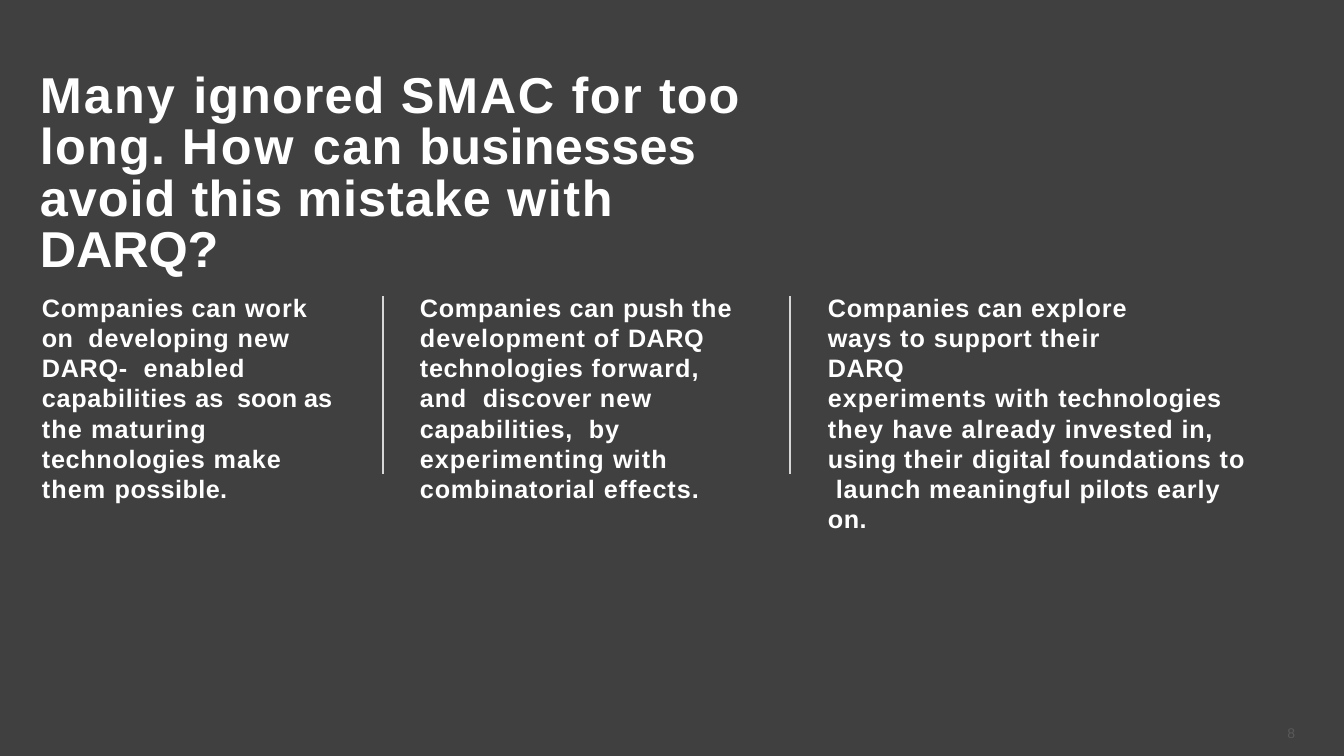
from dataclasses import dataclass

import pptx
import pptx.dml.color
import pptx.enum.shapes
import pptx.enum.text
import pptx.oxml
import pptx.oxml.ns
import pptx.util

SLIDE_WIDTH, SLIDE_HEIGHT = 1344, 756
EMU_PER_PX = 12192000 / SLIDE_WIDTH


@dataclass(frozen=True)
class Theme:
    font: str = "Arial"
    background: str = "404040"
    text: str = "FFFFFF"
    divider: str = "D7D7D7"
    page_number: str = "595959"
    title_size: int = 36
    body_size: int = 18
    page_number_size: int = 10
    divider_width: float = 0.96


@dataclass(frozen=True)
class Phrase:
    text: str
    tracking: int = 0  # hundredths of a point


@dataclass(frozen=True)
class Passage:
    phrases: tuple[Phrase, ...]
    right_indent: int = 0


@dataclass(frozen=True)
class TextBlock:
    left: int
    top: int
    width: int
    height: int
    passages: tuple[Passage, ...]
    size: int
    color: str = Theme.text
    bold: bool = True
    inset_top: int = 2
    line_spacing: float = 1.0
    anchor: pptx.enum.text.MSO_ANCHOR = pptx.enum.text.MSO_ANCHOR.TOP
    align: pptx.enum.text.PP_ALIGN = pptx.enum.text.PP_ALIGN.LEFT


THEME = Theme()
COLUMN_TOP, COLUMN_HEIGHT = 290, 184
DIVIDER_TOP, DIVIDER_BOTTOM = 296, 474
DIVIDERS = (383, 790)


def passage(*phrases: tuple[str, int], right_indent: int = 0) -> Passage:
    return Passage(tuple(Phrase(*phrase) for phrase in phrases), right_indent)


def column(left: int, width: int, *passages: Passage) -> TextBlock:
    return TextBlock(left, COLUMN_TOP, width, COLUMN_HEIGHT, passages, THEME.body_size)


HEADLINE = TextBlock(
    39, 82, 746, 166,
    (passage(
        ("Many ", 150), ("ignored ", 80), ("SMAC ", 120), ("for ", 110),
        ("too  ", 80), ("long. ", 90), ("How ", 190), ("can ", 100),
        ("businesses  ", 20), ("avoid ", 70), ("this ", 30), ("mistake ", 70),
        ("with ", 120), ("DARQ?", -10),
    ),),
    THEME.title_size, inset_top=20, line_spacing=0.85,
    anchor=pptx.enum.text.MSO_ANCHOR.MIDDLE,
)

COLUMNS = (
    column(41, 300, passage(
        ("Companies can ", 50), ("work ", 70), ("on  ", 30), ("developing ", 60),
        ("new ", 80), ("DARQ-  ", 50), ("enabled ", 70), ("capabilities ", 50),
        ("as  ", -10), ("soon ", 0), ("as ", -10), ("the ", 80),
        ("maturing  ", 70), ("technologies ", 50), ("make  ", 70),
        ("them ", 80), ("possible.", 30),
    )),
    column(419, 332, passage(
        ("Companies can ", 50), ("push ", 20), ("the  ", 80),
        ("development of ", 70), ("DARQ  ", 40), ("technologies ", 50),
        ("forward, ", 80), ("and  ", 60), ("discover ", 50), ("new ", 80),
        ("capabilities,  ", 50), ("by experimenting ", 70), ("with  ", 80),
        ("combinatorial ", 60), ("effects.", 70),
    )),
    column(
        827, 423,
        passage(
            ("Companies can ", 50), ("explore  ", 70), ("ways ", 50), ("to ", 70),
            ("support ", 50), ("their ", 80), ("DARQ", 40), right_indent=100,
        ),
        passage(
            ("experiments ", 70), ("with ", 80), ("technologies  ", 50),
            ("they ", 80), ("have already ", 70), ("invested ", 60), ("in,  ", 50),
            ("using ", 20), ("their ", 80), ("digital ", 60), ("foundations ", 50),
            ("to  ", 70), ("launch ", 50), ("meaningful ", 60), ("pilots ", 30),
            ("early ", 70), ("on.", 30),
        ),
    ),
)

PAGE_NUMBER = TextBlock(
    1235, 723, 60, 20, (passage(("8", 0)),), THEME.page_number_size,
    color=THEME.page_number, bold=False,
    align=pptx.enum.text.PP_ALIGN.RIGHT,
)


def px(length: int) -> pptx.util.Emu:
    return pptx.util.Emu(round(length * EMU_PER_PX))


def rgb(color: str) -> pptx.dml.color.RGBColor:
    return pptx.dml.color.RGBColor.from_string(color)


def add_text_block(slide: pptx.slide.Slide, block: TextBlock) -> None:
    frame = slide.shapes.add_textbox(
        px(block.left), px(block.top), px(block.width), px(block.height)
    ).text_frame
    frame.word_wrap = True
    frame.auto_size = pptx.enum.text.MSO_AUTO_SIZE.SHAPE_TO_FIT_TEXT
    frame.vertical_anchor = block.anchor
    frame.margin_left = frame.margin_right = frame.margin_bottom = 0
    frame.margin_top = px(block.inset_top)
    for index, content in enumerate(block.passages):
        paragraph = frame.add_paragraph() if index else frame.paragraphs[0]
        properties = paragraph._p.get_or_add_pPr()
        properties.set("marL", str(px(1)))
        properties.set("marR", str(px(content.right_indent)))
        paragraph.alignment = block.align
        paragraph.line_spacing = block.line_spacing
        paragraph.font.name = THEME.font
        paragraph.font.size = pptx.util.Pt(block.size)
        paragraph.font.bold = block.bold
        paragraph.font.color.rgb = rgb(block.color)
        for phrase in content.phrases:
            run = paragraph.add_run()
            run.text = phrase.text
            run._r.get_or_add_rPr().set("spc", str(phrase.tracking))


def add_divider(slide: pptx.slide.Slide, x: int) -> None:
    divider = slide.shapes.add_connector(
        pptx.enum.shapes.MSO_CONNECTOR.STRAIGHT,
        px(x), px(DIVIDER_TOP), px(x), px(DIVIDER_BOTTOM),
    )
    divider.line.color.rgb = rgb(THEME.divider)
    divider.line.width = pptx.util.Pt(THEME.divider_width)
    divider._element.spPr.append(pptx.oxml.parse_xml(
        f"<a:effectLst {pptx.oxml.ns.nsdecls('a')}/>"
    ))


def main() -> None:
    deck = pptx.Presentation()
    deck.slide_width, deck.slide_height = px(SLIDE_WIDTH), px(SLIDE_HEIGHT)
    slide = deck.slides.add_slide(deck.slide_layouts[6])
    slide.background.fill.solid()
    slide.background.fill.fore_color.rgb = rgb(THEME.background)
    for block in (HEADLINE, *COLUMNS, PAGE_NUMBER):
        add_text_block(slide, block)
    for x in DIVIDERS:
        add_divider(slide, x)
    deck.save("out.pptx")


if __name__ == "__main__":
    main()
